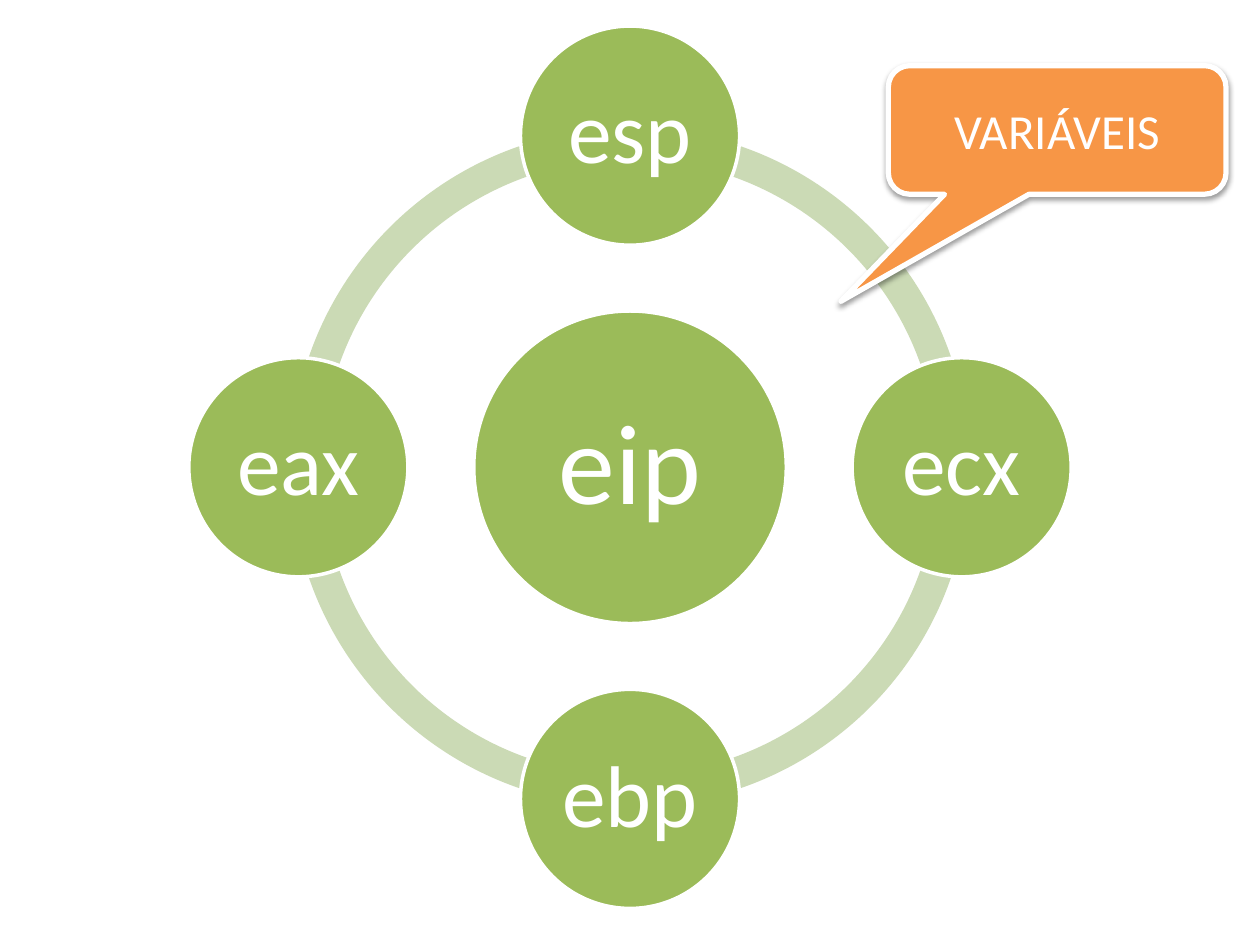
"""Build the slide of a ring of registers around eip with a callout."""
from lxml import etree
from pptx import Presentation
from pptx.dml.color import RGBColor
from pptx.enum import shapes, text
from pptx.oxml import ns
from pptx.util import Pt

KINDS = shapes.MSO_SHAPE
WHITE, GREEN, PALE, ORANGE = "FFFFFF", "9BBB59", "CBDAB5", "F79646"


def add(kind, left, top, width, height, fill, line=0, adj=()):
    sp = s.shapes.add_shape(kind, Pt(left), Pt(top), Pt(width), Pt(height))
    sp.shadow.inherit = False
    sp.fill.solid()
    sp.fill.fore_color.rgb = RGBColor.from_string(fill)
    if line:
        sp.line.color.rgb = RGBColor.from_string(WHITE)
        sp.line.width = Pt(line)
    else:
        sp.line.fill.background()
    for i, value in enumerate(adj):
        sp.adjustments[i] = value
    return sp


def write(sp, words, size, spacing=1.0, wrap=True, color=WHITE, font="Calibri"):
    tf = sp.text_frame
    tf.word_wrap = wrap
    tf.vertical_anchor = text.MSO_ANCHOR.MIDDLE
    p = tf.paragraphs[0]
    p.alignment = text.PP_ALIGN.CENTER
    p.line_spacing = spacing
    r = p.add_run()
    r.text = words
    r.font.size = Pt(size)
    r.font.name = font
    r.font.color.rgb = RGBColor.from_string(color)


prs = Presentation()
prs.slide_width, prs.slide_height = Pt(720), Pt(540)
s = prs.slides.add_slide(prs.slide_layouts[6])

cx, cy = 360, 267
orbit, ring = 189.5, 194

for start, end in [(108, 162), (54, 108), (0, 54), (162, 0)]:
    add(KINDS.BLOCK_ARC, cx - ring, cy - ring, 2 * ring, 2 * ring, PALE,
        adj=(start, end, 0.046))

circles = [
    ("eip", 0, 0, 89.3, 65),
    ("esp", 0, -1, 62.6, 50),
    ("ecx", 1, 0, 62.6, 50),
    ("ebp", 0, 1, 62.6, 50),
    ("eax", -1, 0, 62.6, 50),
]
for name, dx, dy, radius, size in circles:
    sp = add(KINDS.OVAL, cx + dx * orbit - radius, cy + dy * orbit - radius,
             2 * radius, 2 * radius, GREEN, line=2)
    write(sp, name, size, spacing=0.9, wrap=False)

callout = add(KINDS.ROUNDED_RECTANGULAR_CALLOUT, 507.6, 37.5, 193, 73.5, ORANGE,
              line=3, adj=(-0.64, 1.332, 0.167))
write(callout, "VARIÁVEIS", 28)
effects = callout._element.spPr.find(ns.qn("a:effectLst"))
shadow = etree.SubElement(effects, ns.qn("a:outerShdw"), blurRad=str(Pt(3.1)),
                          dist=str(Pt(1.6)), dir="5400000", rotWithShape="0")
black = etree.SubElement(shadow, ns.qn("a:srgbClr"), val="000000")
etree.SubElement(black, ns.qn("a:alpha"), val="38000")

prs.save("out.pptx")
